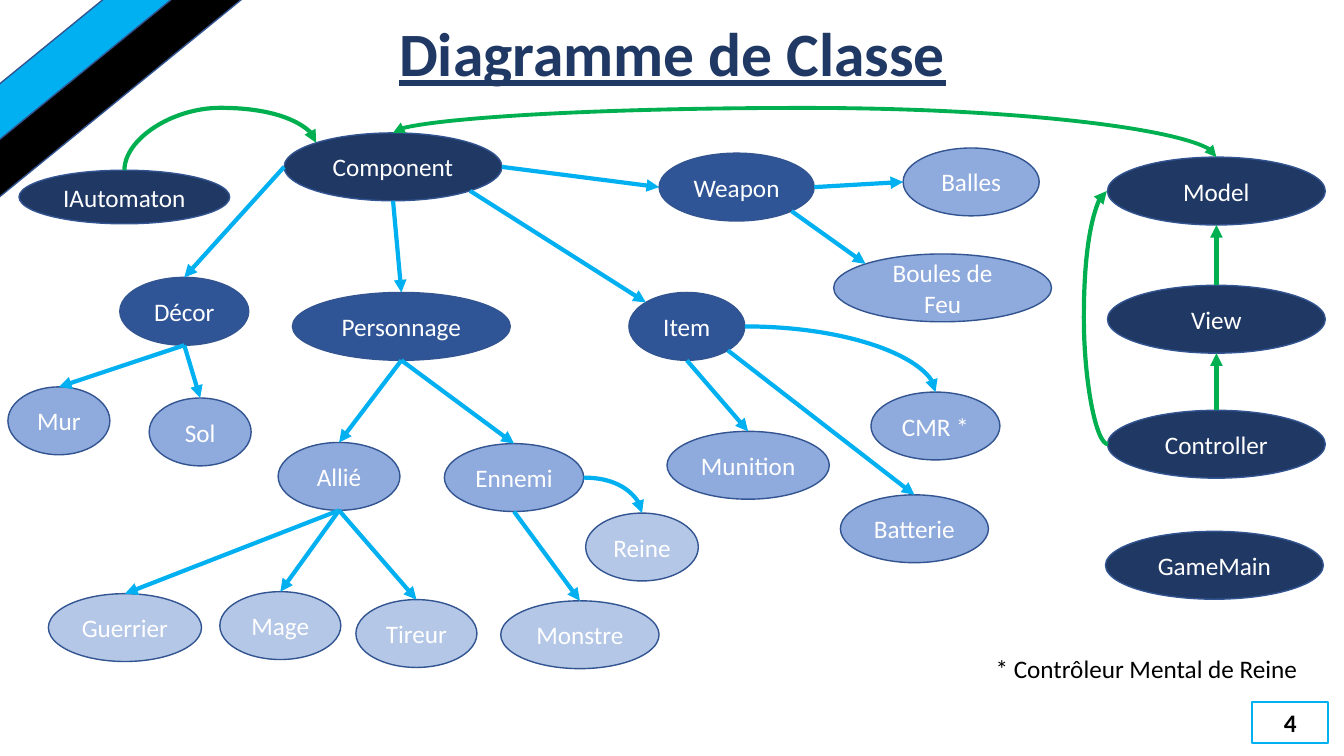
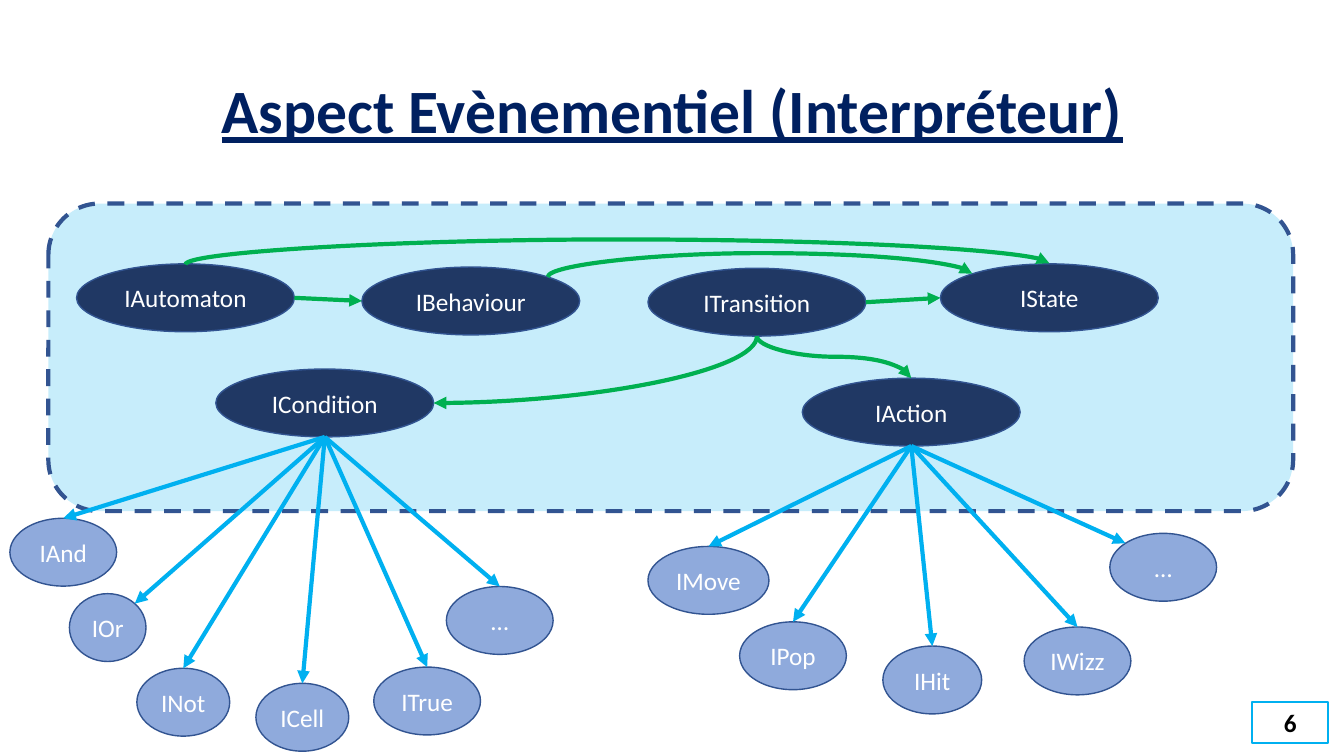
from math import cos, pi, sin

from lxml import etree
from pptx import Presentation
from pptx.dml.color import RGBColor
from pptx.enum.dml import MSO_LINE
from pptx.enum.shapes import MSO_CONNECTOR, MSO_SHAPE
from pptx.enum.text import MSO_ANCHOR, MSO_AUTO_SIZE, PP_ALIGN
from pptx.oxml.ns import qn
from pptx.util import Cm, Pt

ELLIPSE, RECT, ROUNDED = MSO_SHAPE.OVAL, MSO_SHAPE.RECTANGLE, MSO_SHAPE.ROUNDED_RECTANGLE
STRAIGHT, DASH = MSO_CONNECTOR.STRAIGHT, MSO_LINE.DASH
CENTER, LEFT_ALIGNED = PP_ALIGN.CENTER, PP_ALIGN.LEFT
MIDDLE, NO_FIT = MSO_ANCHOR.MIDDLE, MSO_AUTO_SIZE.NONE

FONT = "Calibri"
NAVY, TITLE_BLUE, OUTLINE = "203864", "002060", "325491"
SKY, GREEN, BLACK, WHITE = "00B0F0", "00B050", "000000", "FFFFFF"
LEVEL_FILLS = [NAVY, "2F5597", "8FAADC", "B4C7E7"]

# Connection sites of an ellipse, counter-clockwise from the top
(TOP, TOP_LEFT, LEFT, BOTTOM_LEFT,
 BOTTOM, BOTTOM_RIGHT, RIGHT, TOP_RIGHT) = range(8)
ELBOW = "elbow"
NODE_HEIGHT = 1.71
MIN_SPAN = 0.03

# All lengths are in cm.
# Classes by level: text, left, top, width[, parent, site on parent, own site]
CLASS_LEVELS = [
    [("Component", 7.16, 3.35, 5.49),
     ("Model", 27.91, 3.96, 5.49),
     ("View", 27.91, 7.19, 5.49),
     ("Controller", 27.91, 10.34, 5.49),
     ("GameMain", 27.86, 13.39, 5.49),
     ("IAutomaton", 0.48, 4.29, 5.31)],
    [("Décor", 3.02, 6.99, 3.25, "Component", LEFT, TOP),
     ("Personnage", 7.37, 7.37, 5.49, "Component", BOTTOM, TOP),
     ("Item", 15.85, 7.37, 2.92, "Component", BOTTOM_RIGHT, TOP_LEFT),
     ("Weapon", 16.61, 3.86, 3.91, "Component", RIGHT, LEFT)],
    [("Mur", 0.2, 9.75, 2.57, "Décor", BOTTOM, TOP),
     ("Sol", 3.76, 10.03, 2.57, "Décor", BOTTOM, TOP),
     ("Allié", 7.01, 11.15, 3.07, "Personnage", BOTTOM, TOP),
     ("Ennemi", 11.2, 11.18, 3.51, "Personnage", BOTTOM, TOP),
     ("Munition", 16.81, 10.87, 4.09, "Item", BOTTOM, TOP),
     ("Batterie", 21.18, 12.47, 3.73, "Item", BOTTOM_RIGHT, TOP),
     ("CMR *", 21.95, 9.88, 3.25, "Item", RIGHT, TOP),
     ("Balles", 22.76, 3.73, 3.43, "Weapon", RIGHT, LEFT),
     ("Boules de Feu", 21.01, 6.4, 5.49, "Weapon", BOTTOM_RIGHT, TOP_LEFT)],
    [("Guerrier", 1.22, 14.96, 3.86, "Allié", BOTTOM, TOP),
     ("Mage", 5.54, 14.91, 3.05, "Allié", BOTTOM, TOP),
     ("Tireur", 8.97, 15.11, 3.05, "Allié", BOTTOM, TOP),
     ("Reine", 14.76, 12.93, 2.84, "Ennemi", RIGHT, TOP),
     ("Monstre", 12.62, 15.14, 3.99, "Ennemi", BOTTOM, TOP)],
]
CLASS_HEIGHTS = {"IAutomaton": 1.35}
# Uses: start, site, end, site, route (None, ELBOW or middle position), both ends
CLASS_USES = [
    ("Controller", LEFT, "Model", LEFT, 27.3, False),
    ("Controller", TOP, "View", BOTTOM, None, False),
    ("View", TOP, "Model", BOTTOM, None, False),
    ("Component", TOP, "Model", TOP, 2.72, True),
    ("IAutomaton", TOP, "Component", TOP_LEFT, 2.72, False),
]
BANDS = [(-5.59, 1.35, SKY), (-4.62, 1.96, BLACK)]
FOOTNOTE = "* Contrôleur Mental de Reine"

EVENT_LEVELS = [
    [("ITransition", 16.33, 6.76, 5.49),
     ("IBehaviour", 9.12, 6.73, 5.49),
     ("IAutomaton", 1.93, 6.65, 5.49),
     ("IState", 23.7, 6.65, 5.49),
     ("ICondition", 5.44, 9.3, 5.49),
     ("IAction", 20.22, 9.53, 5.49)],
    [],
    [("IAnd", 0.25, 13.06, 2.69, "ICondition", BOTTOM, TOP),
     ("IOr", 1.75, 14.96, 1.93, "ICondition", BOTTOM, TOP_RIGHT),
     ("INot", 3.45, 16.84, 2.34, "ICondition", BOTTOM, TOP),
     ("ICell", 6.45, 17.22, 2.34, "ICondition", BOTTOM, TOP),
     ("ITrue", 9.42, 16.81, 2.69, "ICondition", BOTTOM, TOP),
     ("…", 11.25, 14.78, 2.69, "ICondition", BOTTOM, TOP),
     ("IMove", 16.33, 13.77, 3.05, "IAction", BOTTOM, TOP),
     ("IPop", 18.64, 15.67, 2.69, "IAction", BOTTOM, TOP),
     ("IHit", 22.25, 16.28, 2.49, "IAction", BOTTOM, TOP),
     ("IWizz", 25.81, 15.8, 2.69, "IAction", BOTTOM, TOP),
     ("…", 27.97, 13.44, 2.69, "IAction", BOTTOM, TOP_LEFT)],
]
EVENT_USES = [
    ("IAutomaton", TOP, "IState", TOP, 6.02, False),
    ("IBehaviour", TOP_RIGHT, "IState", TOP_LEFT, 6.38, False),
    ("ITransition", BOTTOM, "ICondition", RIGHT, ELBOW, False),
    ("ITransition", BOTTOM, "IAction", TOP, 8.99, False),
    ("ITransition", RIGHT, "IState", LEFT, None, False),
    ("IAutomaton", RIGHT, "IBehaviour", LEFT, None, False),
]


def rgb(color):
    """Turn a hex string into a colour."""
    return RGBColor.from_string(color)


def write(shape, text, size=18, color=WHITE, bold=False, align=CENTER):
    """Put one formatted paragraph into a shape and return it."""
    frame = shape.text_frame
    frame.word_wrap = True
    frame.text = text
    paragraph = frame.paragraphs[0]
    paragraph.alignment = align
    font = paragraph.font
    font.name, font.size, font.bold = FONT, Pt(size), bold
    font.color.rgb = rgb(color)
    return paragraph


def add_box(slide, kind, box, fill, line=OUTLINE, weight=1):
    """Add a filled, outlined preset shape."""
    shape = slide.shapes.add_shape(kind, *map(Cm, box))
    shape.shadow.inherit = False
    shape.fill.solid()
    shape.fill.fore_color.rgb = rgb(fill)
    shape.line.color.rgb = rgb(line)
    shape.line.width = Pt(weight)
    return shape


def add_note(slide, box, text, **style):
    """Add a plain text box."""
    note = slide.shapes.add_textbox(*map(Cm, box))
    write(note, text, color=BLACK, **style)
    return note


def start_slide(deck, title, title_top, title_color, number):
    """Add a slide with its title and numbered corner box."""
    slide = deck.slides.add_slide(deck.slide_layouts[5])
    heading = slide.shapes.title
    heading.left, heading.top = Cm(2.34), Cm(title_top)
    heading.width, heading.height = Cm(29.21), Cm(3.68)
    paragraph = write(heading, title, 44, title_color, True)
    paragraph.font.underline = True
    paragraph.line_spacing = 0.9
    heading.text_frame.vertical_anchor = MIDDLE
    heading.text_frame.auto_size = NO_FIT
    page = add_note(slide, (31.55, 17.7, 1.93, 1.02), str(number), bold=True)
    page.line.color.rgb = rgb(SKY)
    page.line.width = Pt(1.5)
    return slide


def site_point(shape, site):
    """Give the position in cm of a connection site on an ellipse."""
    angle = site * pi / 4
    return (shape.left.cm + shape.width.cm * (1 - sin(angle)) / 2,
            shape.top.cm + shape.height.cm * (1 - cos(angle)) / 2)


def bend(connector, route, adjust, upright):
    """Turn a straight connector into a curved one."""
    properties = connector._element.spPr
    geometry = properties.find(qn("a:prstGeom"))
    if route == ELBOW:
        geometry.set("prst", "curvedConnector2")
    else:
        geometry.set("prst", "curvedConnector3")
        guides = geometry.find(qn("a:avLst"))
        if guides is None:
            guides = etree.SubElement(geometry, qn("a:avLst"))
        etree.SubElement(guides, qn("a:gd"), name="adj1",
                         fmla=f"val {round(adjust * 100000)}")
    if upright:
        properties.find(qn("a:xfrm")).set("rot", "5400000")


def link(slide, start, start_site, end, end_site, color, route=None, both=False):
    """Join two ellipses by an arrow, straight or curved."""
    (x1, y1), (x2, y2) = site_point(start, start_site), site_point(end, end_site)
    upright = route is not None and start_site not in (LEFT, RIGHT)
    # A curve leaving vertically is a horizontal one turned by 90 degrees
    run, rise = (y2 - y1, x1 - x2) if upright else (x2 - x1, y2 - y1)
    if route is not None and abs(run) < MIN_SPAN:
        run = -MIN_SPAN
    cx, cy = (x1 + x2) / 2, (y1 + y2) / 2
    ends = (cx - run / 2, cy - rise / 2, cx + run / 2, cy + rise / 2)
    connector = slide.shapes.add_connector(STRAIGHT, *map(Cm, ends))
    if route is not None:
        origin = y1 if upright else x1
        adjust = 0 if route == ELBOW else (route - origin) / run
        bend(connector, route, adjust, upright)

    connector.line.color.rgb = rgb(color)
    connector.line.width = Pt(2.75 if both else 3)
    stroke = connector.line._get_or_add_ln()
    for tip in ("headEnd", "tailEnd") if both else ("tailEnd",):
        etree.SubElement(stroke, qn(f"a:{tip}"), type="triangle")
    etree.SubElement(connector._element.spPr, qn("a:effectLst"))
    joints = connector._element.find(".//" + qn("p:cNvCxnSpPr"))
    for tag, shape, site in (("stCxn", start, start_site), ("endCxn", end, end_site)):
        etree.SubElement(joints, qn(f"a:{tag}"), id=str(shape.shape_id), idx=str(site))


def draw_tree(slide, levels, uses, heights):
    """Draw the classes, their inheritance arrows and their uses."""
    nodes, branches = {}, []
    for fill, level in zip(LEVEL_FILLS, levels):
        for text, left, top, width, *branch in level:
            box = (left, top, width, heights.get(text, NODE_HEIGHT))
            node = add_box(slide, ELLIPSE, box, fill)
            write(node, text)
            node.text_frame.vertical_anchor = MIDDLE
            nodes[text] = node
            if branch:
                branches.append((node, *branch))
    for node, parent, out_site, in_site in branches:
        route = ELBOW if (out_site, in_site) == (RIGHT, TOP) else None
        link(slide, nodes[parent], out_site, node, in_site, SKY, route)
    for start, out_site, end, in_site, route, both in uses:
        link(slide, nodes[start], out_site, nodes[end], in_site, GREEN, route, both)


def build_classes(deck):
    """Build the class diagram."""
    slide = start_slide(deck, "Diagramme de Classe", -0.41, NAVY, 4)
    for left, top, fill in BANDS:
        add_box(slide, RECT, (left, top, 13.44, 1.12), fill).rotation = 320.8
    draw_tree(slide, CLASS_LEVELS, CLASS_USES, CLASS_HEIGHTS)
    add_note(slide, (24.84, 16.33, 8.61, 1.02), FOOTNOTE, align=LEFT_ALIGNED)


def build_events(deck):
    """Build the interpreter diagram on its dashed panel."""
    slide = start_slide(deck, "Aspect Evènementiel (Interpréteur)", 1.02, TITLE_BLUE, 6)
    panel = add_box(slide, ROUNDED, (1.22, 5.13, 31.37, 7.75), SKY, weight=3)
    panel.line.dash_style = DASH
    tint = panel._element.spPr.find(qn("a:solidFill"))[0]
    etree.SubElement(tint, qn("a:alpha"), val="22000")
    draw_tree(slide, EVENT_LEVELS, EVENT_USES, {})


deck = Presentation()
deck.slide_width, deck.slide_height = Cm(33.87), Cm(19.05)
build_classes(deck)
build_events(deck)
deck.save("out.pptx")
